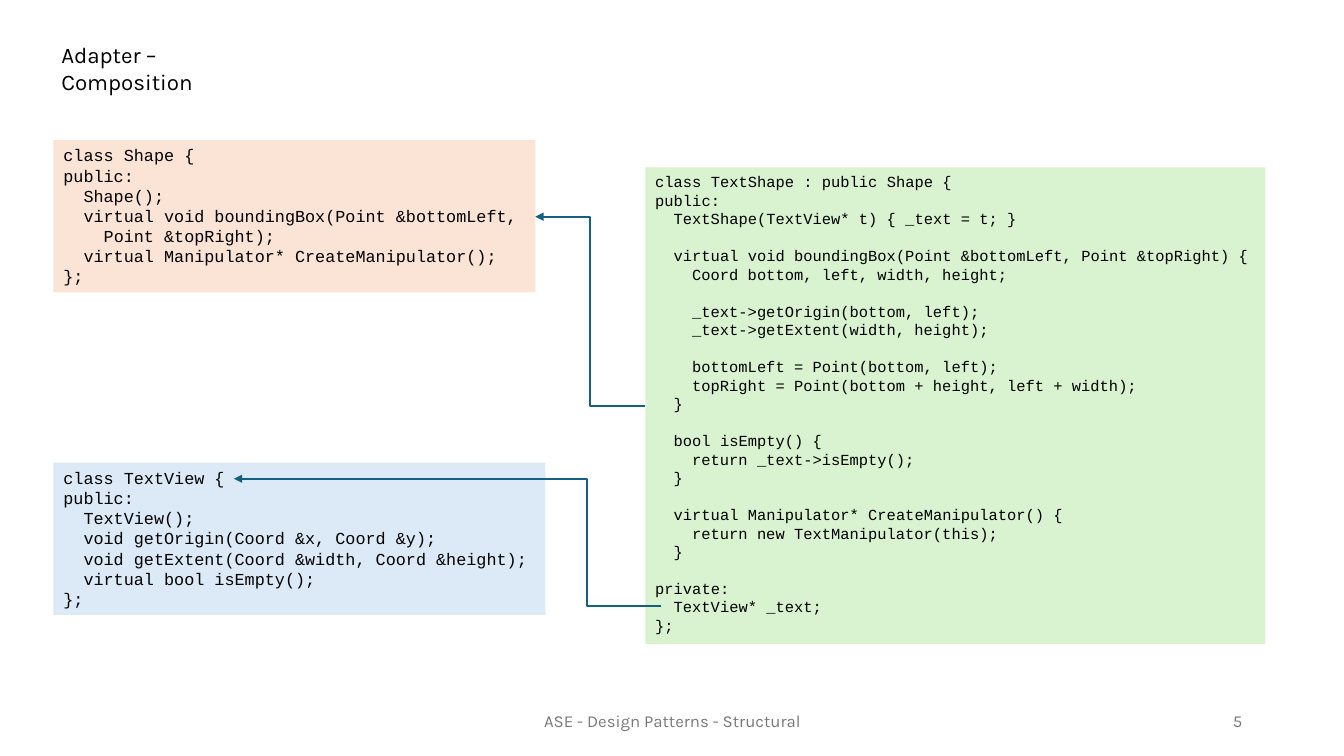
from pptx import Presentation
from pptx.dml.color import RGBColor
from pptx.enum.shapes import MSO_CONNECTOR as Link
from pptx.enum.text import MSO_ANCHOR as Anchor, PP_ALIGN as Align
from pptx.oxml import parse_xml
from pptx.oxml.ns import nsdecls
from pptx.util import Pt

PX = 9144  # 100 px to the inch


def color(code):
    return RGBColor.from_string(code)


def add_text(box, lines, font, size, ink="000000", align=Align.LEFT):
    shape = slide.shapes.add_textbox(*[n * PX for n in box])
    frame = shape.text_frame
    frame.word_wrap = True
    frame.text = "\n".join(lines)
    for para in frame.paragraphs:
        para.alignment = align
        for run in para.runs:
            run.font.name = font
            run.font.size = Pt(size)
            run.font.color.rgb = color(ink)
    return shape


deck = Presentation()
deck.slide_width, deck.slide_height = 1333 * PX, 750 * PX
slide = deck.slides.add_slide(deck.slide_layouts[6])

# Title and footer
add_text((51, 36, 242, 37), ["Adapter – Composition"], "Karla", 16)
for box, words, align in [
    ((442, 695, 450, 40), "ASE - Design Patterns - Structural", Align.CENTER),
    ((942, 695, 300, 40), "5", Align.RIGHT),
]:
    foot = add_text(box, [words], "Karla", 12, "797979", align)
    foot.text_frame.vertical_anchor = Anchor.MIDDLE

# Code of the three classes
shape_code = """class Shape {
public:
  Shape();
  virtual void boundingBox(Point &bottomLeft,
    Point &topRight);
  virtual Manipulator* CreateManipulator();
};"""

view_code = """class TextView {
public:
  TextView();
  void getOrigin(Coord &x, Coord &y);
  void getExtent(Coord &width, Coord &height);
  virtual bool isEmpty();
};"""

adapter_code = """class TextShape : public Shape {
public:
  TextShape(TextView* t) { _text = t; }

  virtual void boundingBox(Point &bottomLeft, Point &topRight) {
    Coord bottom, left, width, height;

    _text->getOrigin(bottom, left);
    _text->getExtent(width, height);

    bottomLeft = Point(bottom, left);
    topRight = Point(bottom + height, left + width);
  }

  bool isEmpty() {
    return _text->isEmpty();
  }

  virtual Manipulator* CreateManipulator() {
    return new TextManipulator(this);
  }

private:
  TextView* _text;
};"""

# Code boxes: leading spaces become indents, empty lines become space before
for box, fill, size, code in [
    ((53, 139, 478, 151), "FBE3D6", 12, shape_code),
    ((53, 459, 488, 151), "DCEAF7", 12, view_code),
    ((640, 166, 615, 473), "D9F2D0", 11, adapter_code),
]:
    pitch = Pt(size * 1.2)
    rows = code.split("\n")
    lines = [row.strip() for row in rows if row]
    panel = add_text(box, lines, "Courier New", size)
    panel.fill.solid()
    panel.fill.fore_color.rgb = color(fill)
    paras = iter(panel.text_frame.paragraphs)
    gap = 0
    for row in rows:
        if not row:
            gap = pitch
            continue
        para = next(paras)
        para.line_spacing = pitch
        para.space_before = gap
        depth = len(row) - len(row.lstrip())
        props = para._p.get_or_add_pPr()
        props.set("marL", str(Pt(depth * size * 0.6)))
        props.set("indent", "0")
        gap = 0

# Arrows from the adapter to both classes, with the place of the bend
for ends, bend in [((640, 403, 531, 215), 50000), ((656, 601, 232, 475), 17400)]:
    arrow = slide.shapes.add_connector(Link.ELBOW, *[n * PX for n in ends])
    arrow.line.color.rgb = color("156082")
    arrow.line.width = Pt(1.5)
    props = arrow._element.spPr
    guide = parse_xml(f'<a:gd {nsdecls("a")} name="adj1" fmla="val {bend}"/>')
    props.prstGeom.get_or_add_avLst().append(guide)
    head = parse_xml(f'<a:tailEnd {nsdecls("a")} type="triangle"/>')
    arrow.line._get_or_add_ln().append(head)
    props.append(parse_xml(f'<a:effectLst {nsdecls("a")}/>'))

deck.save("out.pptx")
